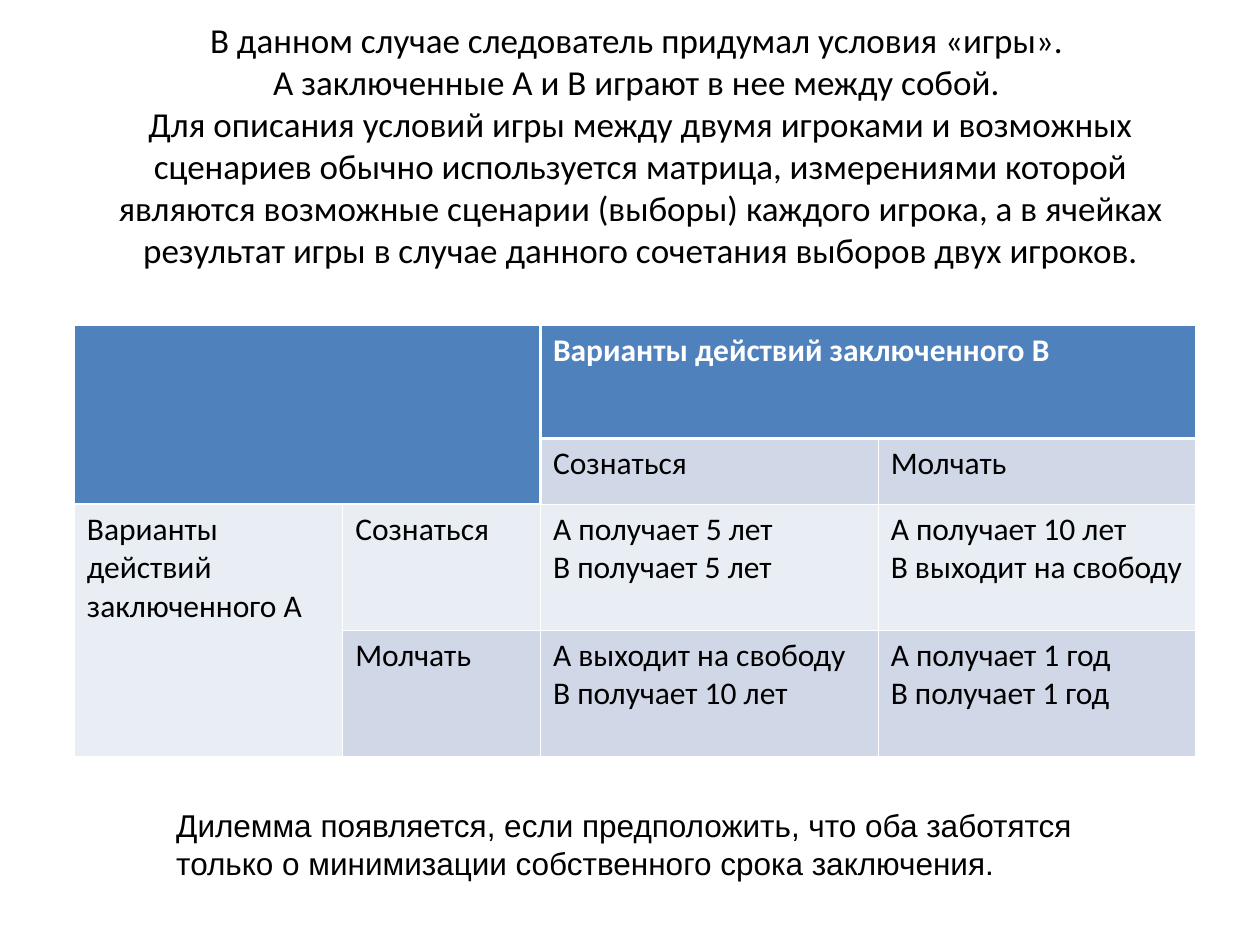
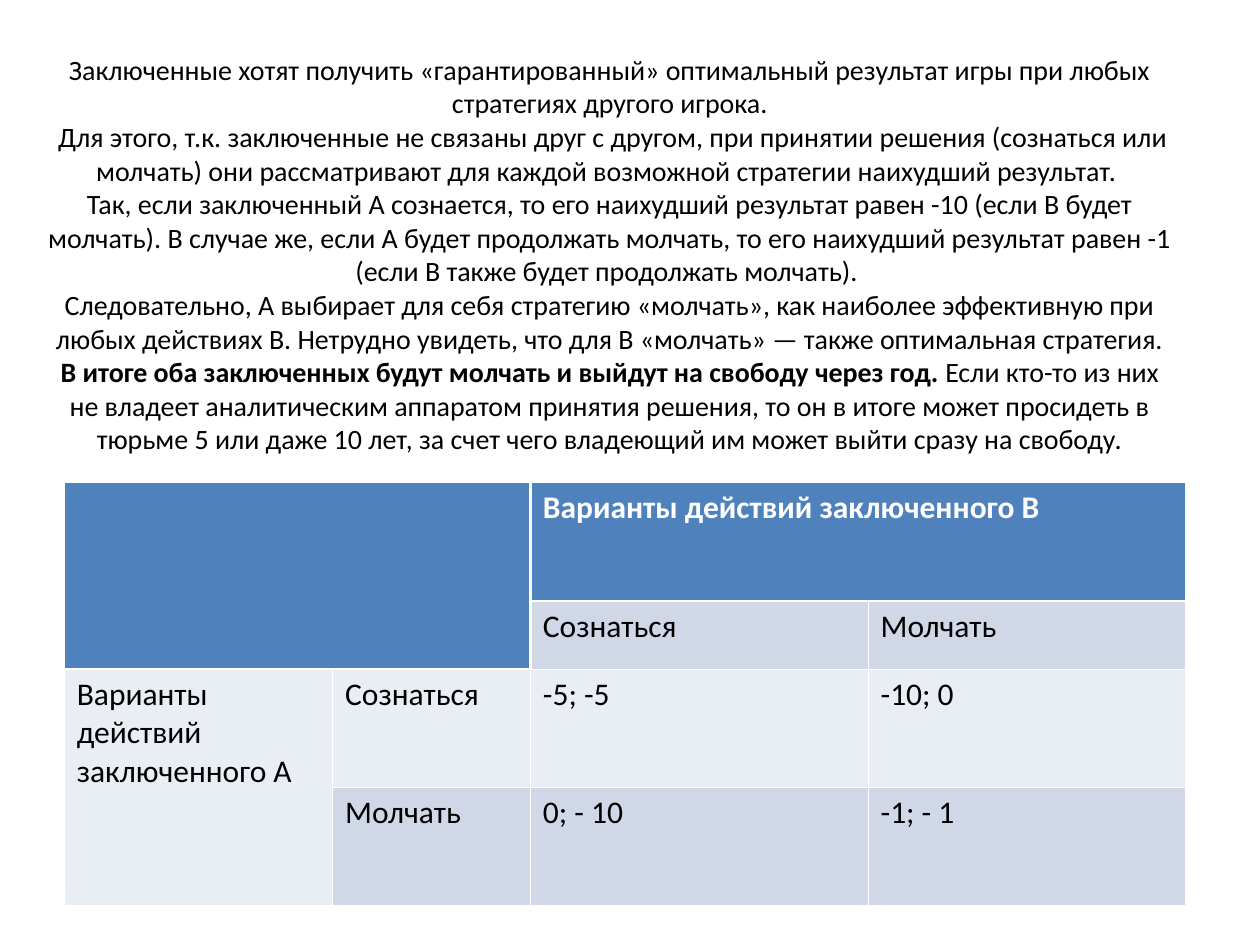
from copy import deepcopy
from dataclasses import dataclass

from lxml import etree
from pptx import Presentation
from pptx.dml.color import RGBColor
from pptx.enum.text import MSO_ANCHOR, MSO_AUTO_SIZE, PP_ALIGN
from pptx.oxml.ns import qn
from pptx.slide import Slide
from pptx.table import _Cell
from pptx.util import Inches, Pt

MIDDLE, TOP = MSO_ANCHOR.MIDDLE, MSO_ANCHOR.TOP
CENTER, LEFT = PP_ALIGN.CENTER, PP_ALIGN.LEFT
NO_FIT, GROW = MSO_AUTO_SIZE.NONE, MSO_AUTO_SIZE.SHAPE_TO_FIT_TEXT

COLORS = {
    "text": "000000",
    "header_text": "FFFFFF",
    "header": "4F81BD",
    "dark_band": "D0D8E8",
    "light_band": "E9EDF4",
    "border": "FFFFFF",
}
THIN, THICK = Pt(0.45), Pt(1.47)
COLUMN_WIDTHS = (2.13, 1.57, 2.68, 2.52)
CHOICES = ("Сознаться", "Молчать")
MERGES = (((0, 0), (1, 1)), ((0, 2), (0, 3)), ((2, 0), (3, 0)))
BORDER_SIDES = {"lnL": (0, -1), "lnR": (0, 1), "lnT": (-1, 0), "lnB": (1, 0)}


@dataclass(frozen=True)
class Run:
    text: str
    bold: bool = False


@dataclass(frozen=True)
class TextBlock:
    left: float
    top: float
    width: float
    height: float
    runs: tuple[Run, ...]
    size: int
    font: str = "Calibri"
    anchor: MSO_ANCHOR = MIDDLE
    alignment: PP_ALIGN = CENTER
    auto_size: MSO_AUTO_SIZE = NO_FIT


@dataclass(frozen=True)
class GameMatrix:
    left: float
    top: float
    row_heights: tuple[float, ...]
    outcomes: tuple[tuple[str, str], ...]


@dataclass(frozen=True)
class GameSlide:
    texts: tuple[TextBlock, ...]
    matrix: GameMatrix


GAME_SLIDES = (
    GameSlide(
        texts=(
            TextBlock(0.75, 0.52, 8.67, 1.25, (Run(
                "В данном случае следователь придумал условия «игры». \n"
                "А заключенные А и В играют в нее между собой. \n"
                "Для описания условий игры между двумя игроками и возможных сценариев "
                "обычно используется матрица, измерениями которой являются возможные "
                "сценарии (выборы) каждого игрока, а в ячейках результат игры в случае "
                "данного сочетания выборов двух игроков."),), 20),
            TextBlock(1.3, 6.35, 7.32, 1, (Run(
                "Дилемма появляется, если предположить, что оба заботятся только о "
                "минимизации собственного срока заключения."),),
                18, "Arial", TOP, LEFT, GROW),
        ),
        matrix=GameMatrix(0.59, 2.58, (0.9, 0.52, 1, 1), (
            ("А получает 5 лет\nВ получает 5 лет",
             "А получает 10 лет\nВ выходит на свободу"),
            ("А выходит на свободу\nВ получает 10 лет",
             "А получает 1 год\nВ получает 1 год"),
        )),
    ),
    GameSlide(
        texts=(
            TextBlock(0.27, 1.39, 9.14, 1.25, (
                Run("Заключенные хотят получить «гарантированный» оптимальный результат "
                    "игры при любых стратегиях другого игрока.\n"
                    " Для этого, т.к. заключенные не связаны друг с другом, при принятии "
                    "решения (сознаться или молчать) они рассматривают для каждой "
                    "возможной стратегии наихудший результат. \n"
                    "Так, если заключенный A сознается, то его наихудший результат равен "
                    "-10 (если B будет молчать). В случае же, если А будет продолжать "
                    "молчать, то его наихудший результат равен -1 (если B также будет "
                    "продолжать молчать). \n"
                    "Следовательно, А выбирает для себя стратегию «молчать», как наиболее "
                    "эффективную при любых действиях B. Нетрудно увидеть, что для B "
                    "«молчать» — также оптимальная стратегия. "),
                Run("В итоге оба заключенных будут молчать и выйдут на свободу через "
                    "год. ", bold=True),
                Run("Если кто-то из них не владеет аналитическим аппаратом принятия "
                    "решения, то он в итоге может просидеть в тюрьме 5 или даже 10 лет, "
                    "за счет чего владеющий им может выйти сразу на свободу."),
            ), 16),
        ),
        matrix=GameMatrix(0.51, 3.83, (0.94, 0.54, 0.94, 0.94), (
            ("-5; -5", "-10; 0"),
            ("0; - 10", "-1; - 1"),
        )),
    ),
)


def add_run(paragraph, text: str, size: int, font: str, bold: bool, color: str):
    run = paragraph.add_run()
    run.text = text
    formats = {"size": Pt(size), "name": font, "bold": bold}
    for attribute, value in formats.items():
        setattr(run.font, attribute, value)
    run.font.color.rgb = RGBColor.from_string(COLORS[color])
    return run


def add_text(slide: Slide, block: TextBlock) -> None:
    box = slide.shapes.add_textbox(
        *map(Inches, (block.left, block.top, block.width, block.height)))
    frame_formats = {"word_wrap": True, "auto_size": block.auto_size,
                     "vertical_anchor": block.anchor}
    for attribute, value in frame_formats.items():
        setattr(box.text_frame, attribute, value)
    paragraph = box.text_frame.paragraphs[0]
    paragraph.alignment = block.alignment
    for part in block.runs:
        for index, line in enumerate(part.text.split("\n")):
            if index:
                # The break keeps the size of the line it ends.
                line_break = paragraph._p.add_br()
                line_break.append(deepcopy(run._r.rPr))
            run = add_run(paragraph, line, block.size, block.font, part.bold, "text")


def region(row: int, column: int) -> str:
    if row < 2 and column < 2:
        return "corner"
    return "header" if row == 0 else "body"


def cell_fill(row: int, column: int) -> str:
    if region(row, column) != "body":
        return "header"
    return "light_band" if column == 0 or row == 2 else "dark_band"


def set_borders(cell: _Cell, row: int, column: int) -> None:
    """Draw thick borders between regions and thin ones elsewhere."""
    properties = cell._tc.get_or_add_tcPr()
    for side, (row_step, column_step) in BORDER_SIDES.items():
        next_row, next_column = row + row_step, column + column_step
        inside = 0 <= next_row < 4 and 0 <= next_column < 4
        changes = inside and region(row, column) != region(next_row, next_column)
        width = THICK if changes else THIN
        line = etree.SubElement(properties, qn(f"a:{side}"), w=str(int(width)))
        fill = etree.SubElement(line, qn("a:solidFill"))
        etree.SubElement(fill, qn("a:srgbClr"), val=COLORS["border"])


def write_cell(cell: _Cell, text: str, is_header: bool) -> None:
    for index, line in enumerate(text.split("\n")):
        frame = cell.text_frame
        paragraph = frame.add_paragraph() if index else frame.paragraphs[0]
        add_run(paragraph, line, 18, "Calibri", is_header,
                "header_text" if is_header else "text")


def add_matrix(slide: Slide, matrix: GameMatrix) -> None:
    rows = (
        ("", "", "Варианты действий заключенного В", ""),
        ("", "", *CHOICES),
        ("Варианты действий заключенного А", CHOICES[0], *matrix.outcomes[0]),
        ("", CHOICES[1], *matrix.outcomes[1]),
    )
    table = slide.shapes.add_table(
        len(rows), len(COLUMN_WIDTHS), Inches(matrix.left), Inches(matrix.top),
        Inches(sum(COLUMN_WIDTHS)), Inches(sum(matrix.row_heights))).table
    table.first_row = table.horz_banding = False
    for column, width in zip(table.columns, COLUMN_WIDTHS):
        column.width = Inches(width)
    for row, height in zip(table.rows, matrix.row_heights):
        row.height = Inches(height)
    for start, end in MERGES:
        table.cell(*start).merge(table.cell(*end))
    for row, texts in enumerate(rows):
        for column, text in enumerate(texts):
            cell = table.cell(row, column)
            set_borders(cell, row, column)
            cell.fill.solid()
            cell.fill.fore_color.rgb = RGBColor.from_string(
                COLORS[cell_fill(row, column)])
            if text:
                write_cell(cell, text, region(row, column) == "header")


def main() -> None:
    presentation = Presentation()
    presentation.slide_width, presentation.slide_height = Inches(10), Inches(7.5)
    blank_layout = presentation.slide_layouts[6]
    for game_slide in GAME_SLIDES:
        slide = presentation.slides.add_slide(blank_layout)
        add_matrix(slide, game_slide.matrix)
        for block in game_slide.texts:
            add_text(slide, block)
    presentation.save("out.pptx")


if __name__ == "__main__":
    main()
